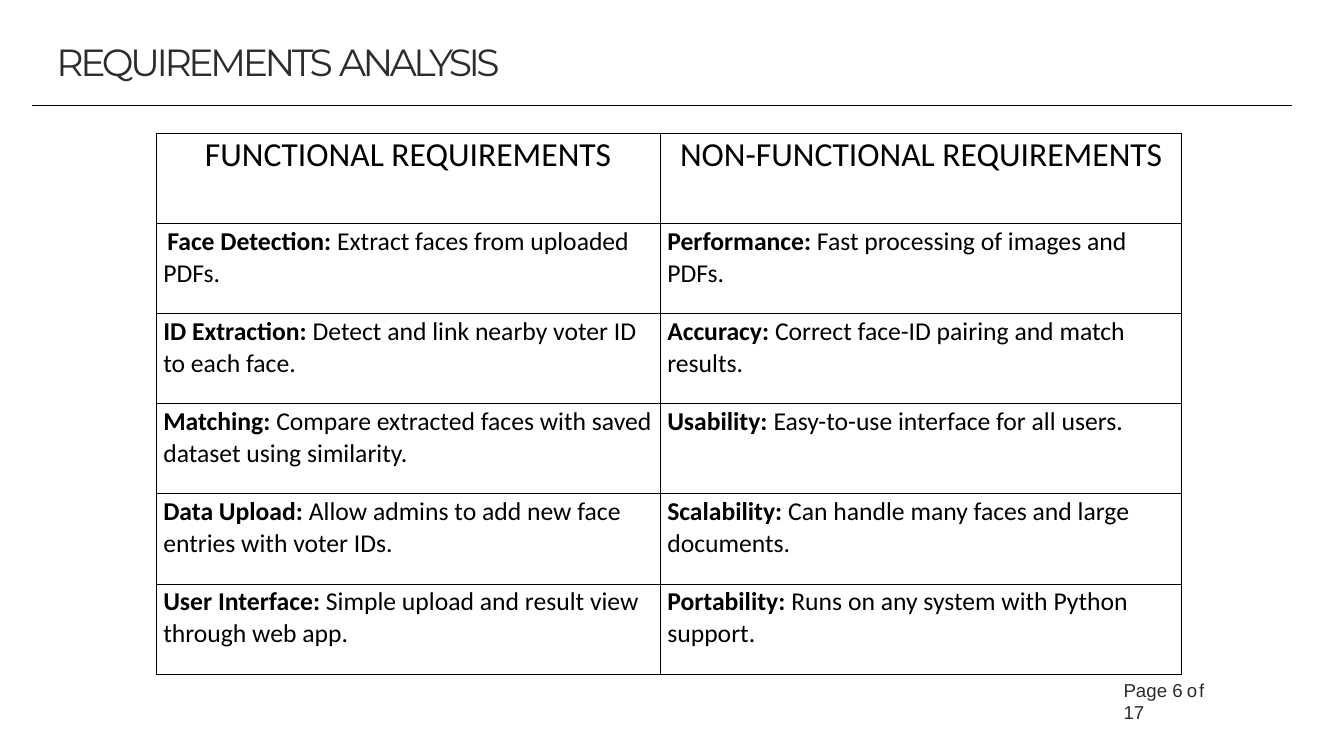
import pptx
import pptx.dml.color
import pptx.enum.shapes
import pptx.enum.text
import pptx.oxml.ns
import pptx.util
from lxml import etree
from pptx.util import Inches

BLACK, CHARCOAL = "000000", "2B2C2F"
COLUMN_WIDTHS = [7.5, 7.75]
ROW_HEIGHTS = [1.35] + [1.34] * 5
# (text, left indent) of each column heading
HEADINGS = [("FUNCTIONAL REQUIREMENTS", 0.72), ("NON-FUNCTIONAL REQUIREMENTS", 0.29)]
# One row: functional and non-functional requirement, each a label and a description
REQUIREMENTS = [
    [("Face Detection: ", "Extract faces from uploaded PDFs."),
     ("Performance: ", "Fast processing of images and PDFs.")],
    [("ID Extraction: ", "Detect and link nearby voter ID to each face."),
     ("Accuracy: ", "Correct face-ID pairing and match results.")],
    [("Matching: ", "Compare extracted faces with saved dataset using similarity."),
     ("Usability: ", "Easy-to-use interface for all users.")],
    [("Data Upload: ", "Allow admins to add new face entries with voter IDs."),
     ("Scalability: ", "Can handle many faces and large documents.")],
    [("User Interface: ", "Simple upload and result view through web app."),
     ("Portability: ", "Runs on any system with Python support.")],
]


def color(value):
    return pptx.dml.color.RGBColor.from_string(value)


def add_span(para, text, size, font, shade, bold=False, spacing=0):
    """Add one run; spacing is the letter spacing in points."""
    span = para.add_run()
    span.text = text
    span.font.size = pptx.util.Pt(size)
    span.font.name = font
    span.font.bold = bold
    span.font.color.rgb = color(shade)
    if spacing:
        span.font._element.set("spc", str(round(spacing * 100)))


def format_para(para, indent, before, first=0, line_spacing=1.0):
    para.alignment = pptx.enum.text.PP_ALIGN.LEFT
    para.space_before = pptx.util.Pt(before)
    para.line_spacing = line_spacing
    properties = para._element.get_or_add_pPr()
    properties.set("marL", str(Inches(indent)))
    properties.set("indent", str(Inches(first)))


def format_frame(frame, top):
    frame.margin_left = frame.margin_right = frame.margin_bottom = 0
    frame.margin_top = Inches(top)
    frame.vertical_anchor = pptx.enum.text.MSO_ANCHOR.TOP
    frame.word_wrap = True
    frame.auto_size = pptx.enum.text.MSO_AUTO_SIZE.NONE


def set_title(page):
    title = page.shapes.title
    title.left, title.top = Inches(0.56), Inches(0.38)
    title.width, title.height = Inches(17.19), Inches(1.6)
    format_frame(title.text_frame, 0.19)
    para = title.text_frame.paragraphs[0]
    format_para(para, 0.28, 1.1)
    add_span(para, "REQUIREMENTS ", 40.5, "Montserrat", CHARCOAL, spacing=-3.8)
    add_span(para, "ANALYSIS", 40.5, "Montserrat", CHARCOAL, spacing=-3.9)


def add_rule(page):
    rule = page.shapes.add_connector(
        pptx.enum.shapes.MSO_CONNECTOR.STRAIGHT,
        Inches(0.48), Inches(1.57), Inches(19.22), Inches(1.57))
    rule.line.color.rgb = color(BLACK)
    rule.line.width = pptx.util.Pt(0.75)
    etree.SubElement(rule._element.spPr, pptx.oxml.ns.qn("a:effectLst"))


def add_page_number(page):
    box = page.shapes.add_textbox(Inches(16.71), Inches(10.06), Inches(1.6), Inches(0.37))
    format_frame(box.text_frame, 0.04)
    para = box.text_frame.paragraphs[0]
    format_para(para, 0.01, 2.6)
    for text, spacing in [("Page ", 0), ("6 ", -1.2), ("of ", 1.9), ("17", -0.2)]:
        add_span(para, text, 20, "Arial", CHARCOAL, spacing=spacing)


def format_cell(cell, top):
    """Clear the cell and give it thin black borders."""
    cell.margin_left = cell.margin_right = cell.margin_bottom = 0
    cell.margin_top = Inches(top)
    properties = cell._tc.get_or_add_tcPr()
    for side in ("lnL", "lnR", "lnT", "lnB"):
        border = etree.SubElement(properties, pptx.oxml.ns.qn("a:" + side),
                                  w=str(pptx.util.Pt(1)))
        fill = etree.SubElement(border, pptx.oxml.ns.qn("a:solidFill"))
        etree.SubElement(fill, pptx.oxml.ns.qn("a:srgbClr"), val=BLACK)
    cell.fill.background()


def add_requirements_table(page):
    table = page.shapes.add_table(
        len(ROW_HEIGHTS), len(COLUMN_WIDTHS), Inches(2.33), Inches(1.98),
        Inches(sum(COLUMN_WIDTHS)), Inches(sum(ROW_HEIGHTS))).table
    table.first_row = table.horz_banding = False
    for column, width in zip(table.columns, COLUMN_WIDTHS):
        column.width = Inches(width)
    for row, height in zip(table.rows, ROW_HEIGHTS):
        row.height = Inches(height)

    # Headings
    for column, (heading, indent) in enumerate(HEADINGS):
        cell = table.cell(0, column)
        format_cell(cell, 0.02)
        para = cell.text_frame.paragraphs[0]
        format_para(para, indent, 1.5)
        add_span(para, heading, 36, "Calibri", BLACK)

    # Requirements
    for row, pair in enumerate(REQUIREMENTS, start=1):
        for column, (label, description) in enumerate(pair):
            cell = table.cell(row, column)
            format_cell(cell, 0.03)
            para = cell.text_frame.paragraphs[0]
            first = 0.06 if (row, column) == (1, 0) else 0
            format_para(para, 0.1, 2, first, 1.02)
            add_span(para, label, 27.5, "Calibri", BLACK, bold=True)
            add_span(para, description, 27.5, "Calibri", BLACK)


def main():
    deck = pptx.Presentation()
    deck.slide_width, deck.slide_height = Inches(20), Inches(11.25)
    page = deck.slides.add_slide(deck.slide_layouts[5])
    add_rule(page)
    set_title(page)
    add_page_number(page)
    add_requirements_table(page)
    deck.save("out.pptx")


if __name__ == "__main__":
    main()
